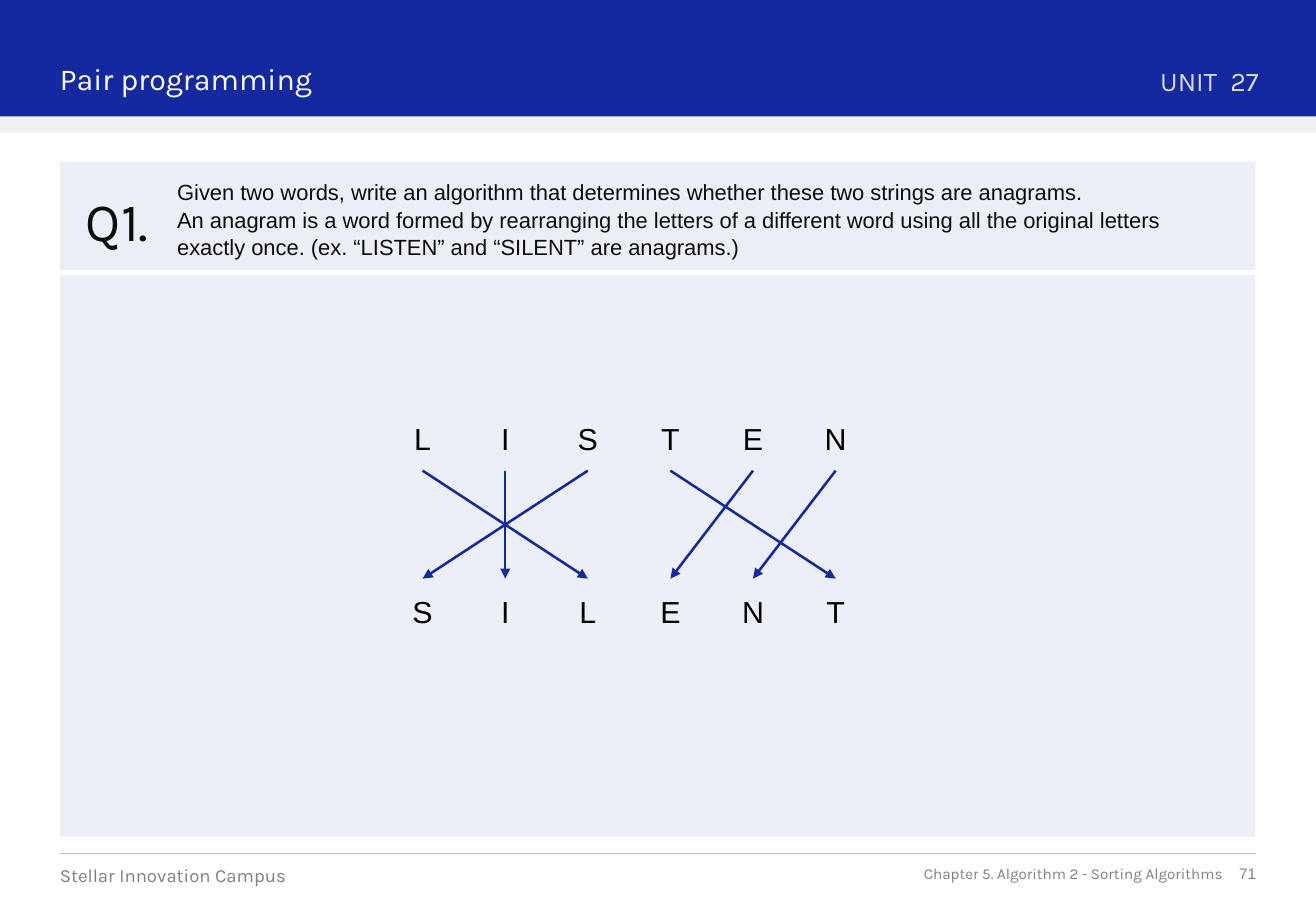
from lxml.etree import SubElement
from pptx import Presentation
from pptx.dml.color import RGBColor
from pptx.enum.shapes import MSO_CONNECTOR, MSO_SHAPE
from pptx.enum.text import MSO_ANCHOR, MSO_AUTO_SIZE, PP_ALIGN
from pptx.oxml.ns import qn
from pptx.util import Pt

HUES = {
    "blue": "1429A0", "band": "F1F1F1", "panel": "ECEFF6", "rule": "BFBFBF",
    "white": "FFFFFF", "unit": "D9D9D9", "foot": "808080",
    "ink": "0D0D0D", "black": "000000",
}
ALIGN = {"left": PP_ALIGN.LEFT, "mid": PP_ALIGN.CENTER, "right": PP_ALIGN.RIGHT}


def hue(name):
    return RGBColor.from_string(HUES[name])


def write(shape, text, size=18, color="ink", face="Karla", align="left",
          anchor=MSO_ANCHOR.TOP, wrap=True, space=1.0, gap=0):
    frame = shape.text_frame
    frame.auto_size = MSO_AUTO_SIZE.NONE
    frame.word_wrap = wrap
    frame.vertical_anchor = anchor
    frame.margin_left = frame.margin_right = 0
    frame.margin_top = frame.margin_bottom = 0
    for row, line in enumerate(text.split("\n")):
        para = frame.add_paragraph() if row else frame.paragraphs[0]
        props = para._p.get_or_add_pPr()
        props.set("marL", "0")
        props.set("indent", "0")
        SubElement(props, qn("a:buNone"))
        para.alignment = ALIGN[align]
        para.space_before = para.space_after = Pt(0)
        para.line_spacing = space
        for part in line.partition(" ") if gap else [line]:
            run = para.add_run()
            run.text = part
            run.font.size = Pt(size)
            run.font.name = face
            run.font.color.rgb = hue(color)
            if part == " ":
                run.font._element.set("spc", str(gap * 100))


class Page:
    def __init__(self, slide):
        self.slide = slide
        self.shapes = slide.shapes

    def shape(self, x, y, w, h, fill=None, kind=MSO_SHAPE.RECTANGLE):
        item = self.shapes.add_shape(kind, Pt(x), Pt(y), Pt(w), Pt(h))
        item.shadow.inherit = False
        item.line.fill.background()
        if fill:
            item.fill.solid()
            item.fill.fore_color.rgb = hue(fill)
        else:
            item.fill.background()
        return item

    def text(self, x, y, w, h, words, **style):
        box = self.shapes.add_textbox(Pt(x), Pt(y), Pt(w), Pt(h))
        write(box, words, **style)

    def holder(self, index, x, y, w, h, words, **style):
        item = self.slide.placeholders[index]
        item.left, item.top, item.width, item.height = Pt(x), Pt(y), Pt(w), Pt(h)
        item.element.getparent().append(item.element)
        write(item, words, **style)

    def line(self, x1, y1, x2, y2, color, width, arrow=False):
        item = self.shapes.add_connector(
            MSO_CONNECTOR.STRAIGHT, Pt(x1), Pt(y1), Pt(x2), Pt(y2))
        item.line.color.rgb = hue(color)
        item.line.width = Pt(width)
        if arrow:
            SubElement(item.line._get_or_add_ln(), qn("a:tailEnd"), type="triangle")
        SubElement(item.element.spPr, qn("a:effectLst"))


def frame(page):
    page.shape(0, 49, 780, 30, "band")
    page.shape(0, 0, 780, 69, "blue")
    page.holder(0, 35.5, 35.5, 435, 21.6, "Pair programming", color="white")
    page.text(683, 38, 63, 19.5, "UNIT 27", size=16, color="unit",
              align="right", wrap=False, gap=4)
    page.line(35.5, 506, 744.5, 506, "rule", 0.5)
    page.text(35.5, 512, 227.5, 13.5, "Stellar Innovation Campus",
              size=11, color="foot")
    note = dict(size=9, color="foot", align="right", anchor=MSO_ANCHOR.MIDDLE)
    page.text(468, 512, 256.5, 11, "Chapter 5. Algorithm 2 - Sorting Algorithms", **note)
    page.text(696, 512, 48.5, 11, "71", face="Arial", **note)


def question(page):
    page.shape(35.5, 96, 708.5, 64, "panel")
    page.shape(35.5, 163, 708.5, 333, "panel")
    page.holder(
        1, 105, 105, 625, 47.5,
        "Given two words, write an algorithm that determines whether these two "
        "strings are anagrams.\n"
        "An anagram is a word formed by rearranging the letters of a different word "
        "using all the original letters exactly once. "
        "(ex. “LISTEN” and “SILENT” are anagrams.)",
        size=13, face="Arial", space=1.05)
    write(page.shape(51, 111, 50, 39, "panel"), "Q1.", size=32, wrap=False)


def anagram(page, top, base):
    left, step, wide, high = 238.5, 48.96, 24, 38.5
    upper, lower = 240.5, 343
    for word, y in ((top, upper), (base, lower)):
        for col, char in enumerate(word):
            cell = page.shape(left + col * step, y, wide, high, kind=MSO_SHAPE.OVAL)
            write(cell, char, color="black", face="Arial", align="mid",
                  anchor=MSO_ANCHOR.MIDDLE)
    start = left + wide / 2
    for col, char in enumerate(top):
        page.line(start + col * step, upper + high,
                  start + base.index(char) * step, lower, "blue", 1.5, arrow=True)


def main():
    deck = Presentation()
    deck.slide_width, deck.slide_height = Pt(780), Pt(540)
    page = Page(deck.slides.add_slide(deck.slide_layouts[1]))
    frame(page)
    question(page)
    anagram(page, "LISTEN", "SILENT")
    deck.save("out.pptx")


if __name__ == "__main__":
    main()
